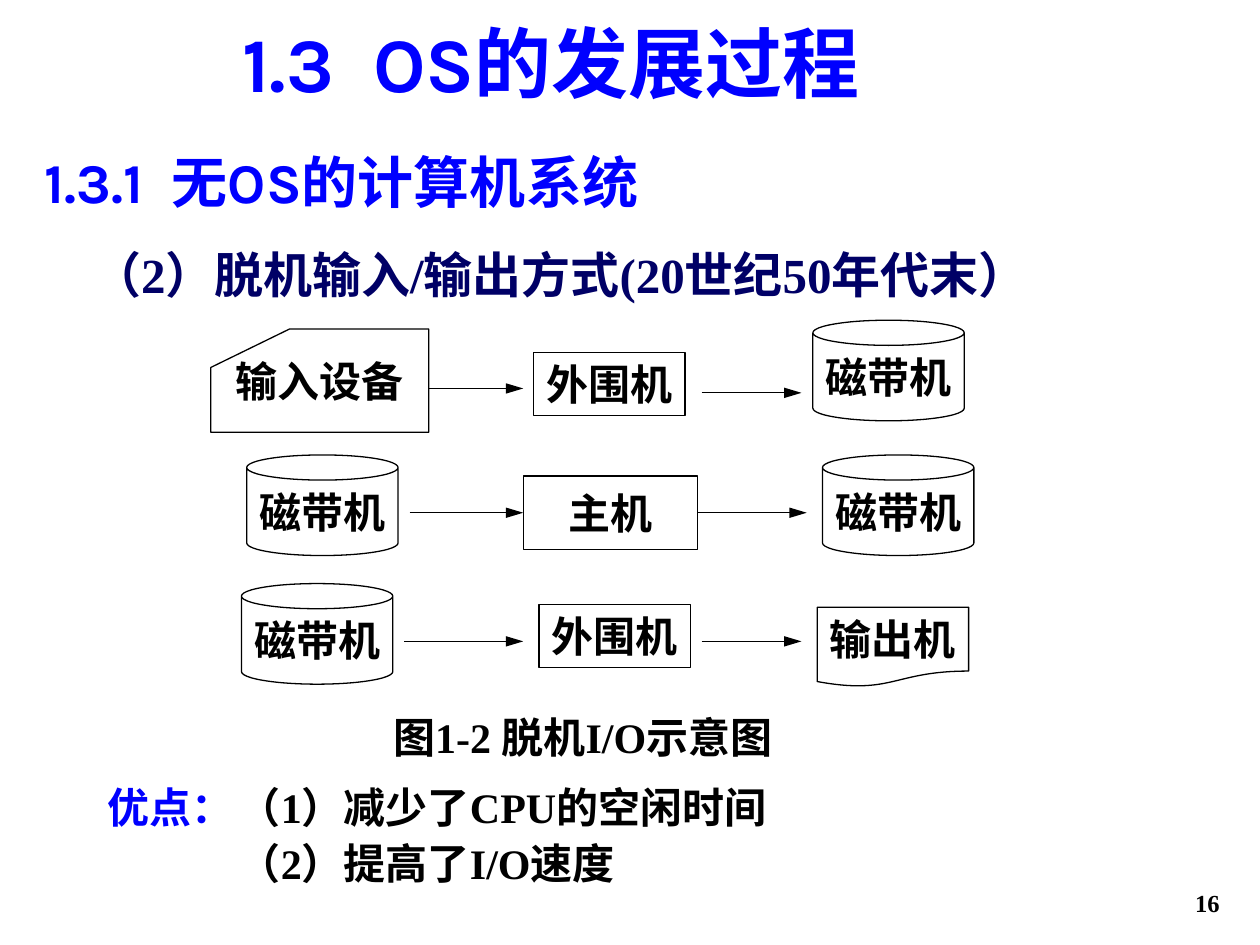
import pptx
import pptx.dml.color
import pptx.enum.shapes
import pptx.enum.text
import pptx.oxml.ns
import pptx.util
from lxml import etree

Pt = pptx.util.Pt
RGBColor = pptx.dml.color.RGBColor
SHAPE = pptx.enum.shapes.MSO_SHAPE
ALIGN = pptx.enum.text.PP_ALIGN
ANCHOR = pptx.enum.text.MSO_ANCHOR
qn = pptx.oxml.ns.qn

BLACK = RGBColor(0x00, 0x00, 0x00)
BLUE = RGBColor(0x00, 0x00, 0xFF)
NAVY = RGBColor(0x00, 0x00, 0x66)
KARLA = "Karla"
TIMES = "Times New Roman"
NOTO = "Noto Sans CJK SC"

deck = pptx.Presentation()
deck.slide_width, deck.slide_height = Pt(720), Pt(540)
page = deck.slides.add_slide(deck.slide_layouts[5])


def write(box, lines, size, color, align=ALIGN.LEFT, anchor=ANCHOR.TOP, before=0, wrap=True):
    """Fill box with lines; each line is a list of (text, font[, letter spacing])."""
    frame = box.text_frame
    frame.word_wrap = wrap
    frame.vertical_anchor = anchor
    frame.margin_left = frame.margin_right = Pt(7.2)
    frame.margin_top = frame.margin_bottom = Pt(3.6)
    for number, line in enumerate(lines):
        para = frame.add_paragraph() if number else frame.paragraphs[0]
        para.alignment = align
        para.space_before = Pt(before)
        for text, font, *spacing in line:
            span = para.add_run()
            span.text = text
            span.font.name = font
            span.font.size = Pt(size)
            span.font.bold = True
            span.font.color.rgb = color
            properties = span.font._element
            etree.SubElement(properties, qn("a:ea")).set("typeface", NOTO)
            if spacing:
                properties.set("spc", str(spacing[0] * 100))


def add_text(left, top, width, height, *content, **style):
    box = page.shapes.add_textbox(Pt(left), Pt(top), Pt(width), Pt(height))
    write(box, *content, **style)


# Headings
subtitle = page.shapes.title
subtitle.left, subtitle.top = Pt(45.5), Pt(126.5)
subtitle.width, subtitle.height = Pt(630.5), Pt(50.5)
write(subtitle, [[("（2）脱机输入/输出方式(20世纪50年代末）", TIMES)]], 28, NAVY,
      anchor=ANCHOR.BOTTOM)
add_text(18, -9.5, 604, 74.5,
         [[("1.3", KARLA), (" ", KARLA, 11), ("OS", KARLA), ("的发展过程 ", NOTO)]],
         44, BLUE, align=ALIGN.CENTER, anchor=ANCHOR.BOTTOM)
add_text(18.5, 65.5, 670.5, 60.5,
         [[("1.3.1", KARLA), (" ", KARLA, 8), ("无", NOTO), ("OS", KARLA),
           ("的计算机系统", NOTO)]],
         32, BLUE, anchor=ANCHOR.BOTTOM)

# Devices of the three rows
builder = page.shapes.build_freeform(Pt(120.5), Pt(247))
builder.add_line_segments([(Pt(x), Pt(y)) for x, y in
                           [(120.5, 210), (165.5, 188), (245, 188), (245, 247)]])
input_card = builder.convert_to_shape()
devices = [(input_card, "输入设备")]
for kind, label, left, top, width, height in [
    (SHAPE.RECTANGLE, "外围机", 305, 201.5, 86.5, 36),
    (SHAPE.CAN, "磁带机", 464.5, 183, 86.5, 57.5),
    (SHAPE.CAN, "磁带机", 141, 260, 86.5, 57.5),
    (SHAPE.CAN, "磁带机", 470, 260, 86.5, 57.5),
    (SHAPE.CAN, "磁带机", 138, 333.5, 86.5, 57.5),
    (SHAPE.RECTANGLE, "外围机", 308, 345.5, 86.5, 36),
    (SHAPE.FLOWCHART_DOCUMENT, "输出机", 467, 347, 86.5, 45.5),
    (SHAPE.RECTANGLE, "主机", 299, 272, 99.5, 42),
]:
    device = page.shapes.add_shape(kind, Pt(left), Pt(top), Pt(width), Pt(height))
    devices.append((device, label))
host = devices[-1][0]

for device, label in devices:
    device.shadow.inherit = False
    device.fill.background()
    device.line.color.rgb = BLACK
    device.line.width = Pt(0.75)
    write(device, [[(label, KARLA)]], 24, BLACK, align=ALIGN.CENTER,
          anchor=ANCHOR.MIDDLE, before=15, wrap=False)

# Arrows: start, end, height
arrows = []
for start, end, y in [(245, 299, 222), (401, 458, 224.5),
                      (234, 299, 293), (398.5, 461, 293),
                      (231, 299, 366.5), (401, 458, 366.5)]:
    arrow = page.shapes.add_connector(pptx.enum.shapes.MSO_CONNECTOR.STRAIGHT,
                                      Pt(start), Pt(y), Pt(end), Pt(y))
    arrow.line.color.rgb = BLACK
    arrow.line.width = Pt(0.75)
    etree.SubElement(arrow.line._get_or_add_ln(), qn("a:tailEnd"),
                     type="triangle", w="med", len="lg")
    etree.SubElement(arrow._element.spPr, qn("a:effectLst"))
    arrows.append(arrow)
arrows[2].end_connect(host, 1)
arrows[3].begin_connect(host, 3)

# Caption, advantages and page number
add_text(180, 403, 306, 36, [[("图1-2 脱机I/O示意图", TIMES)]], 24, BLACK,
         align=ALIGN.CENTER, before=15)
add_text(54.5, 443, 132, 80.5, [[("优点：", NOTO)]], 24, BLUE, before=15)
add_text(129.5, 443, 421, 67.5,
         [[("（", NOTO), ("1", TIMES), ("）减少了", NOTO), ("CPU", TIMES),
           ("的空闲时间", NOTO)],
          [("（2）提高了I/O速度", TIMES)]],
         24, BLACK, before=3)
add_text(554.5, 492, 149.5, 36, [[("16", TIMES)]], 14, BLACK,
         align=ALIGN.RIGHT, anchor=ANCHOR.BOTTOM)

deck.save("out.pptx")
